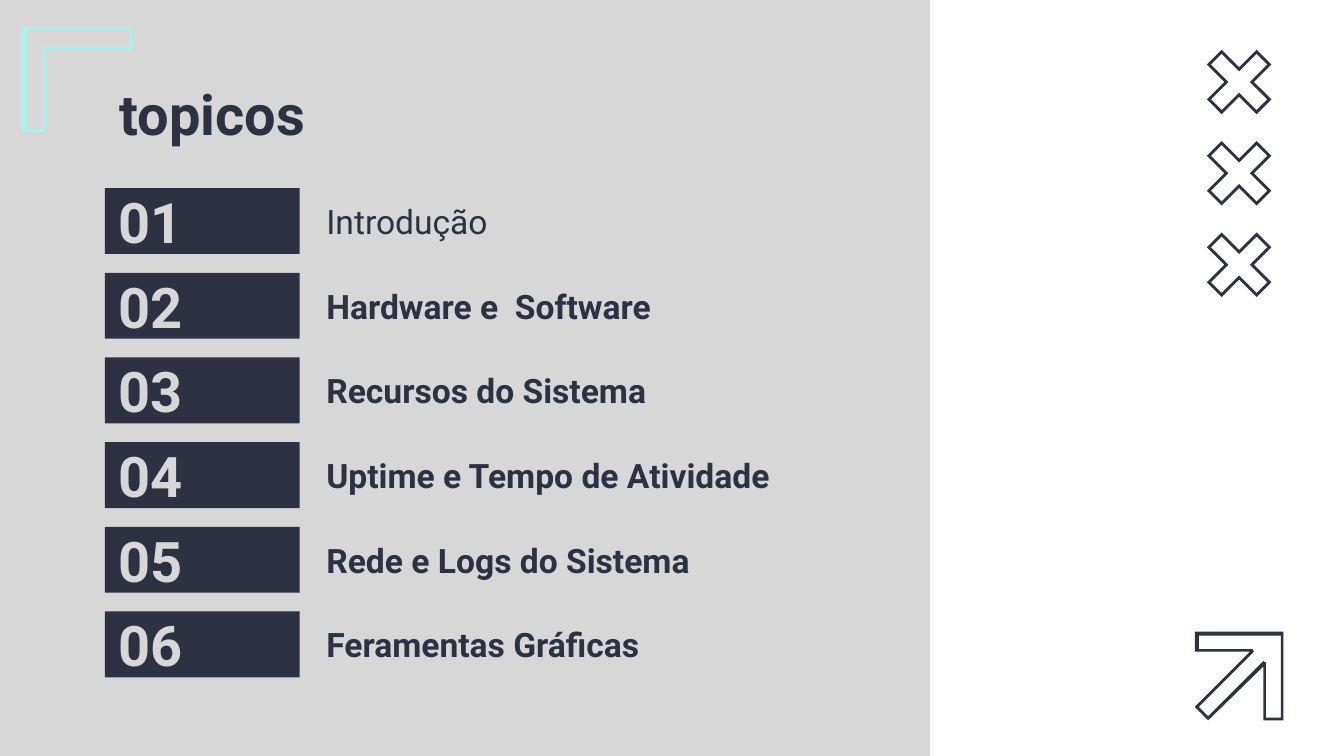
from pptx import Presentation
from pptx.dml.color import RGBColor
from pptx.enum.shapes import MSO_SHAPE
from pptx.enum.text import MSO_ANCHOR, MSO_AUTO_SIZE, PP_ALIGN
from pptx.util import Inches, Pt

RECT = MSO_SHAPE.RECTANGLE
TOP, MIDDLE = MSO_ANCHOR.TOP, MSO_ANCHOR.MIDDLE
NO_FIT = MSO_AUTO_SIZE.NONE
LEFT = PP_ALIGN.LEFT

TITLE = "topicos"
TOPICS = [
    ("Introdução", False),
    ("Hardware e  Software", True),
    ("Recursos do Sistema", True),
    ("Uptime e Tempo de Atividade", True),
    ("Rede e Logs do Sistema", True),
    ("Feramentas Gráficas", True),
]
NAVY, GREY, WHITE, AQUA = "2D3142", "D7D7D7", "FFFFFF", "9DF6F6"
FONT = "Roboto"

WIDTH = 10
HEIGHT = WIDTH * 9 / 16
PANEL_X = 6.92
NUMBER_X, NUMBER_W = 0.78, 1.45
TOPIC_X, TOPIC_W = 2.33, 4.58
ROW_TOP, ROW_PITCH, ROW_H = 1.4, 0.63, 0.49

CORNER = [
    [(0.96, 0.35), (0.32, 0.35), (0.32, 0.96), (0.19, 0.96), (0.19, 0.22), (0.96, 0.22)],
    [(0.98, 0.2), (0.16, 0.2), (0.16, 0.98), (0.34, 0.98), (0.34, 0.37), (0.98, 0.37)],
]
ARROW = [
    [(9.53, 4.73), (9.53, 5.34), (9.42, 5.34), (9.42, 4.93), (9.4, 4.92),
     (8.99, 5.33), (8.92, 5.26), (9.33, 4.85), (9.32, 4.83), (8.92, 4.83), (8.92, 4.73)],
    [(8.89, 4.7), (8.89, 4.85), (9.3, 4.85), (8.89, 5.26), (8.99, 5.36),
     (9.4, 4.96), (9.4, 5.36), (9.55, 5.36), (9.55, 4.7)],
]
CROSS_X, CROSS_Y, CROSS_PITCH, CROSS_COUNT = 9.22, 0.61, 0.68, 3
CROSS_ARMS = [
    [(0, -0.08), (0.13, -0.21), (0.21, -0.13)],
    [(0, -0.11), (0.13, -0.24), (0.24, -0.13)],
]
UNITS = 100


def rgb(value):
    return RGBColor.from_string(value)


def paint(sp, color):
    sp.fill.solid()
    sp.fill.fore_color.rgb = rgb(color)
    sp.line.fill.background()
    sp.shadow.inherit = False


def write(sp, text, size=18, color=NAVY, bold=True, anchor=MIDDLE):
    tf = sp.text_frame
    tf.word_wrap = True
    tf.auto_size = NO_FIT
    tf.vertical_anchor = anchor
    tf.margin_left = tf.margin_right = tf.margin_top = tf.margin_bottom = Inches(0.1)
    p = tf.paragraphs[0]
    p.alignment = LEFT
    r = p.add_run()
    r.text = text
    r.font.name = FONT
    r.font.size = Pt(size)
    r.font.bold = bold
    r.font.color.rgb = rgb(color)


def box(x, y, w, h):
    return [Inches(v) for v in (x, y, w, h)]


def add_outline(s, contours, color):
    scaled = [[(x * UNITS, y * UNITS) for x, y in c] for c in contours]
    builder = s.shapes.build_freeform(*scaled[0][0], scale=Inches(1) / UNITS)
    for i, contour in enumerate(scaled):
        if i:
            builder.move_to(*contour[0])
        builder.add_line_segments(contour[1:], close=True)
    paint(builder.convert_to_shape(), color)


def cross_contour(arm, cx, cy):
    points = []
    for _ in range(4):
        points += [(cx + x, cy + y) for x, y in arm]
        arm = [(-y, x) for x, y in arm]
    return points


def main():
    prs = Presentation()
    prs.slide_width, prs.slide_height = Inches(WIDTH), Inches(HEIGHT)
    s = prs.slides.add_slide(prs.slide_layouts[5])
    s.background.fill.solid()
    s.background.fill.fore_color.rgb = rgb(GREY)

    panel = s.shapes.add_shape(RECT, *box(PANEL_X, 0, WIDTH - PANEL_X, HEIGHT))
    paint(panel, WHITE)
    crosses = [cross_contour(arm, CROSS_X, CROSS_Y + i * CROSS_PITCH)
               for i in range(CROSS_COUNT) for arm in CROSS_ARMS]
    for contours, color in ((CORNER, AQUA), (crosses, NAVY), (ARROW, NAVY)):
        add_outline(s, contours, color)

    title = s.shapes.title
    title.left, title.top, title.width, title.height = box(0.79, 0.49, 6.13, 0.63)
    write(title, TITLE, size=30, anchor=TOP)

    for i, (topic, bold) in enumerate(TOPICS):
        y = ROW_TOP + i * ROW_PITCH
        number = s.shapes.add_shape(RECT, *box(NUMBER_X, y, NUMBER_W, ROW_H))
        paint(number, NAVY)
        write(number, f"{i + 1:02d}", size=30, color=GREY)
        label = s.shapes.add_textbox(*box(TOPIC_X, y, TOPIC_W, ROW_H))
        write(label, topic, bold=bold)

    prs.save("out.pptx")


if __name__ == "__main__":
    main()
